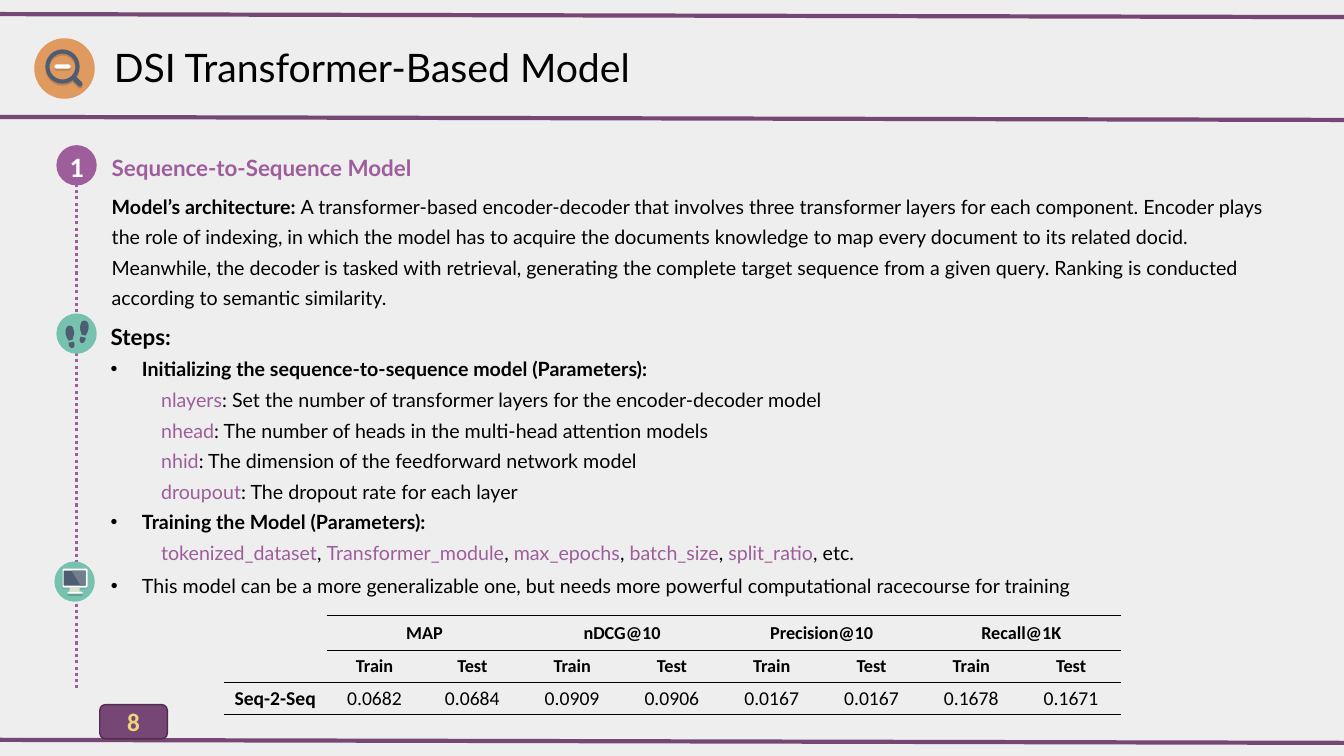
import pptx
import pptx.util
import pptx.dml.color
import pptx.enum.dml
import pptx.enum.shapes
import pptx.enum.text
import pptx.oxml
import pptx.oxml.ns
from dataclasses import dataclass

Inches, Pt = pptx.util.Inches, pptx.util.Pt
MSO = pptx.enum.shapes.MSO_SHAPE
ALIGN = pptx.enum.text.PP_ALIGN
MIDDLE = pptx.enum.text.MSO_ANCHOR.MIDDLE
qn = pptx.oxml.ns.qn


@dataclass(frozen=True)
class Theme:
    paper: str = "EEEEEE"
    black: str = "000000"
    white: str = "FFFFFF"
    plum: str = "764674"
    plum_edge: str = "4F2F4E"
    violet: str = "9E5E9B"
    gold: str = "F0D47F"
    orange: str = "E0995E"
    orange_shade: str = "BA8152"
    teal: str = "76C2AF"
    teal_shade: str = "65A192"
    slate: str = "4F5D73"
    glare: str = "727D8F"
    stand: str = "E0E0D1"
    body_font: str = "Lato"
    table_font: str = "Calibri"
    title: int = 28
    number: int = 20
    badge: int = 18
    heading: int = 16
    body: int = 14
    header: int = 13


def rgb(color):
    return pptx.dml.color.RGBColor.from_string(color)


def set_all(obj, values):
    for name, value in values.items():
        setattr(obj, name, value)


class Deck:
    def __init__(self, prs, theme):
        self.theme = theme
        self.s = prs.slides.add_slide(prs.slide_layouts[6])
        self.s.background.fill.solid()
        self.s.background.fill.fore_color.rgb = rgb(theme.paper)

    def run(self, p, text, color, **font):
        r = p.add_run()
        r.text = text
        set_all(r.font, {"name": self.theme.body_font, "size": Pt(self.theme.body), "bold": False, **font})
        r.font.color.rgb = rgb(color)

    def text(self, box, paragraphs, wrap=True):
        """Each paragraph is (kind, runs); a run is (text, color, font values)."""
        tf = self.s.shapes.add_textbox(*map(Inches, box)).text_frame
        tf.word_wrap = wrap
        for i, (kind, runs) in enumerate(paragraphs):
            p = tf.add_paragraph() if i else tf.paragraphs[0]
            set_all(p, KINDS[kind])
            if kind in INDENTS:
                pPr = p._p.get_or_add_pPr()
                left, first = INDENTS[kind]
                pPr.set("marL", str(Inches(left)))
                pPr.set("indent", str(Inches(first)))
            if kind == "bullet":
                pptx.oxml.ns  # bullet elements follow the line spacing
                for tag, key, value in (("a:buFont", "typeface", "Arial"), ("a:buChar", "char", "•")):
                    pPr.append(pptx.oxml.parse_xml(f'<{tag} {pptx.oxml.ns.nsdecls("a")} {key}="{value}"/>'))
            for text, color, font in runs:
                self.run(p, text, color, **font)

    def paint(self, sp, fill, edge=None):
        sp.shadow.inherit = False
        sp.fill.solid()
        sp.fill.fore_color.rgb = rgb(fill)
        if edge:
            sp.line.color.rgb = rgb(edge)
            sp.line.width = Pt(1)
        else:
            sp.line.fill.background()
        return sp

    def shape(self, kind, box, fill, edge=None, adj=None, rotation=0):
        sp = self.s.shapes.add_shape(kind, *map(Inches, box))
        if adj is not None:
            sp.adjustments[0] = adj
        sp.rotation = rotation
        return self.paint(sp, fill, edge)

    def outline(self, points, fill):
        """Points are in thousandths of an inch."""
        fb = self.s.shapes.build_freeform(*points[0], scale=Inches(1) / 1000)
        fb.add_line_segments(points[1:], close=True)
        self.paint(fb.convert_to_shape(), fill)

    def line(self, x1, y1, x2, y2, color, width, dash=None):
        c = self.s.shapes.add_connector(pptx.enum.shapes.MSO_CONNECTOR.STRAIGHT, *map(Inches, (x1, y1, x2, y2)))
        c.line.color.rgb = rgb(color)
        c.line.width = Pt(width)
        if dash:
            c.line.dash_style = dash
        c._element.spPr.append(pptx.oxml.parse_xml(f'<a:effectLst {pptx.oxml.ns.nsdecls("a")}/>'))

    def borders(self, cell, sides):
        tcPr = cell._tc.get_or_add_tcPr()
        for side in "LRTB":
            ink = f'<a:solidFill><a:srgbClr val="{self.theme.black}"/></a:solidFill>' if side in sides else "<a:noFill/>"
            tcPr.append(pptx.oxml.parse_xml(f'<a:ln{side} {pptx.oxml.ns.nsdecls("a")} w="{Pt(1)}">{ink}</a:ln{side}>'))
        cell.fill.background()

    def table(self, box, widths, heights, rows):
        t = self.theme
        tbl = self.s.shapes.add_table(len(rows), len(widths), *map(Inches, box)).table
        set_all(tbl, {"first_row": False, "horz_banding": False})
        for col, width in zip(tbl.columns, widths):
            col.width = Inches(width)
        for i, (row, height) in enumerate(zip(rows, heights)):
            tbl.rows[i].height = Inches(height)
            for j, value in enumerate(row):
                cell = tbl.cell(i, j)
                set_all(cell, {"margin_top": 0, "margin_bottom": 0, "vertical_anchor": MIDDLE})
                data = i == len(rows) - 1
                self.borders(cell, "TB" if data or j else "B" if i else "")
                if value:
                    p = cell.text_frame.paragraphs[0]
                    p.alignment = ALIGN.CENTER
                    self.run(p, value, t.black, name=t.table_font, size=Pt(t.body if data else t.header),
                             bold=not (data and j))
        for j in range(1, len(widths), 2):
            tbl.cell(0, j).merge(tbl.cell(0, j + 1))


KINDS = {
    "plain": {},
    "center": {"alignment": ALIGN.CENTER},
    "loose": {"line_spacing": 1.3},
    "bullet": {"line_spacing": 1.3},
    "item": {"line_spacing": 1.3, "level": 1},
}
INDENTS = {"bullet": (0.31, -0.31), "item": (0.5, 0)}


def main():
    prs = pptx.Presentation()
    set_all(prs, {"slide_width": Inches(13.33), "slide_height": Inches(7.5)})
    t = Theme()
    d = Deck(prs, t)
    bold = {"bold": True}
    heading = {"bold": True, "size": Pt(t.heading)}

    # Rules, page number and title
    for y in (0.14, 1.16, 7.34):
        d.line(0, y, 13.33, y + 0.03, t.plum, 3)
    badge = d.shape(MSO.ROUNDED_RECTANGLE, (0.99, 6.99, 0.67, 0.34), t.plum, t.plum_edge)
    badge.text_frame.vertical_anchor = MIDDLE
    p = badge.text_frame.paragraphs[0]
    p.alignment = ALIGN.CENTER
    d.run(p, "8", t.gold, name=t.table_font, size=Pt(t.badge), bold=True)
    d.text((1.03, 0.38, 8.15, 0.57), [("plain", [("DSI Transformer-Based Model", t.black, {"size": Pt(t.title)})])])

    # Magnifier icon, with its shade just below it
    d.shape(MSO.OVAL, (0.34, 0.38, 0.6, 0.6), t.orange)
    for drop, glass, bar in ((0.02, t.orange_shade, t.orange_shade), (0, t.slate, t.white)):
        d.shape(MSO.ROUNDED_RECTANGLE, (0.7, 0.78 + drop, 0.13, 0.05), glass, adj=0.5, rotation=45)
        d.shape(MSO.DONUT, (0.45, 0.49 + drop, 0.34, 0.34), glass, adj=0.12)
        d.shape(MSO.ROUNDED_RECTANGLE, (0.54, 0.64 + drop, 0.16, 0.04), bar, adj=0.5)

    # Timeline with its three markers
    d.line(0.76, 6.83, 0.76, 1.83, t.violet, 2.25, pptx.enum.dml.MSO_LINE.ROUND_DOT)
    for x, y, color in ((0.56, 1.44, t.violet), (0.56, 3.11, t.teal), (0.54, 5.57, t.teal)):
        d.shape(MSO.OVAL, (x, y, 0.4, 0.4), color)
    number = {"name": t.table_font, "size": Pt(t.number), "bold": True}
    d.text((0.59, 1.43, 0.34, 0.44), [("center", [("1", t.white, number)])], wrap=False)

    # Footprints: the right foot mirrors the left one, a little higher
    sole = [(680, 380), (720, 370), (724, 350), (732, 330), (736, 308), (733, 280), (724, 250), (711, 235),
            (692, 230), (672, 236), (657, 254), (650, 280), (652, 316), (663, 347)]
    heel = [(730, 390), (680, 400), (684, 424), (694, 443), (708, 452), (722, 452), (735, 443), (740, 425), (737, 405)]
    for part in (sole, heel):
        d.outline([(x, 3000 + y) for x, y in part], t.slate)
        d.outline([(1530 - x, 2950 + y) for x, y in part], t.slate)

    # Monitor icon
    for box, color, adj in (
        ((0.67, 5.89, 0.15, 0.02), t.teal_shade, 0.5),
        ((0.62, 5.65, 0.25, 0.19), t.teal_shade, 0.1),
        ((0.69, 5.83, 0.1, 0.04), t.stand, 0),
        ((0.67, 5.87, 0.15, 0.02), t.white, 0.5),
        ((0.62, 5.64, 0.25, 0.19), t.white, 0.1),
        ((0.63, 5.66, 0.22, 0.15), t.slate, 0.05),
    ):
        d.shape(MSO.ROUNDED_RECTANGLE, box, color, adj=adj)
    d.outline([(710, 5660), (850, 5660), (850, 5810), (800, 5810)], t.glare)

    # Model description
    d.text((1.01, 1.4, 6.74, 0.41), [("loose", [("Sequence-to-Sequence Model", t.violet, heading)])])
    d.text((1.01, 1.81, 11.88, 1.29), [("loose", [
        ("Model’s architecture: ", t.black, bold),
        ("A transformer-based encoder-decoder that involves three transformer layers for each component. "
         "Encoder plays the role of indexing, in which the model has to acquire the documents knowledge to map "
         "every document to its related docid. Meanwhile, the decoder is tasked with retrieval, generating the "
         "complete target sequence from a given query. Ranking is conducted according to semantic similarity.",
         t.black, {})])])

    # Steps
    settings = (("nlayers", "Set the number of transformer layers for the encoder-decoder model"),
                ("nhead", "The number of heads in the multi-head attention models"),
                ("nhid", "The dimension of the feedforward network model"),
                ("droupout", "The dropout rate for each layer"))
    training = ("tokenized_dataset", "Transformer_module", "max_epochs", "batch_size", "split_ratio")
    training_runs = [run for name in training for run in ((name, t.violet, {}), (", ", t.black, {}))]
    d.text((1, 3.08, 10.74, 2.56), [
        ("loose", [("Steps:", t.black, heading)]),
        ("bullet", [("Initializing the sequence-to-sequence model (Parameters):", t.black, bold)]),
        *[("item", [(name, t.violet, {}), (f": {use}", t.black, {})]) for name, use in settings],
        ("bullet", [("Training the Model (Parameters):", t.black, bold)]),
        ("item", training_runs[:-1] + [(", etc.", t.black, {})])])
    d.text((1, 5.57, 9.98, 0.38), [("bullet", [
        ("This model can be a more generalizable one, but needs more powerful computational racecourse for training",
         t.black, {})])])

    # Results
    metrics = ("MAP", "nDCG@10", "Precision@10", "Recall@1K")
    scores = "0.0682 0.0684 0.0909 0.0906 0.0167 0.0167 0.1678 0.1671".split()
    d.table((2.22, 6.11, 8.89, 0.98), [1.02, 0.95] + [0.99] * 7, (0.34, 0.32, 0.32), [
        [""] + [cell for metric in metrics for cell in (metric, "")],
        [""] + ["Train", "Test"] * len(metrics),
        ["Seq-2-Seq"] + scores])

    prs.save("out.pptx")


if __name__ == "__main__":
    main()
